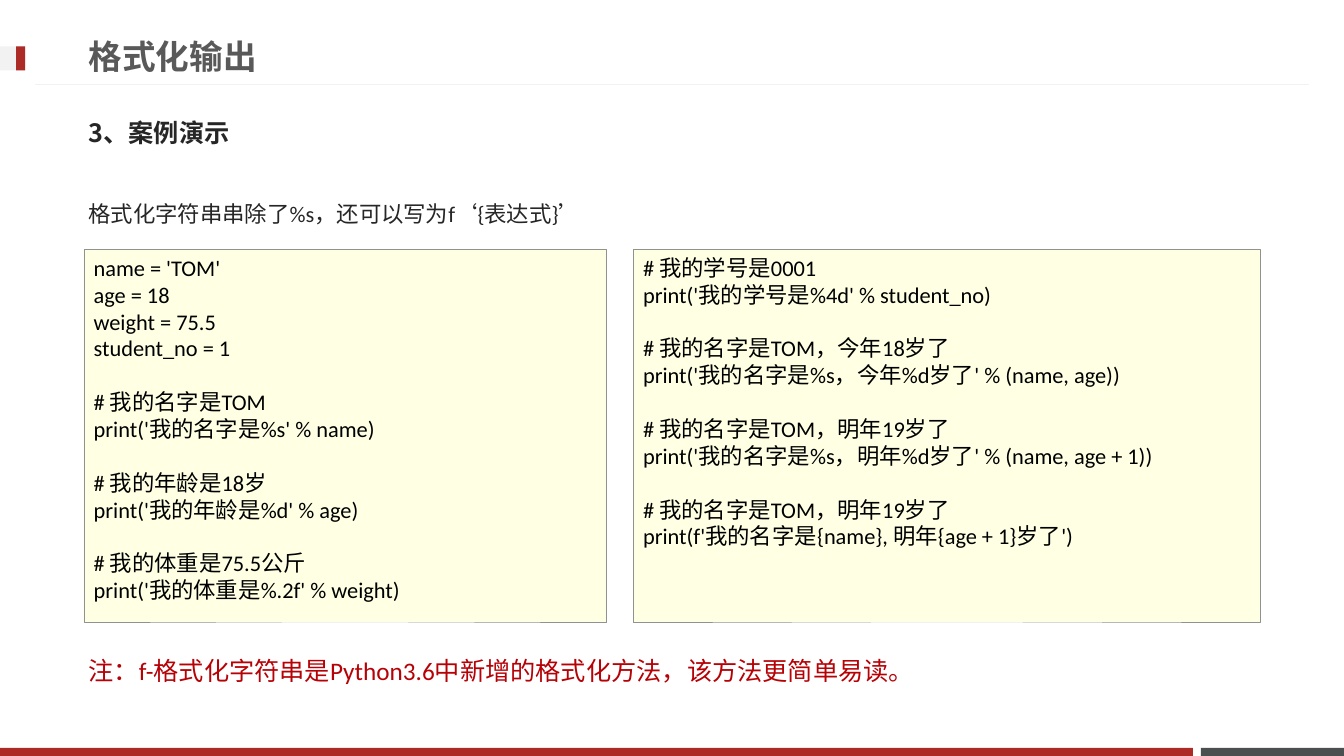
from lxml.etree import SubElement
from pptx import Presentation
from pptx.dml.color import RGBColor
from pptx.enum.shapes import MSO_CONNECTOR as Link, MSO_SHAPE as Shape
from pptx.enum.text import MSO_ANCHOR as Anchor, PP_ALIGN as Align
from pptx.oxml.ns import qn
from pptx.util import Inches, Pt

WIDTH, HEIGHT = Inches(13.33), Inches(7.5)
RED = RGBColor(0xAD, 0x2B, 0x26)
SLATE = RGBColor(0x49, 0x50, 0x4F)
PALE = RGBColor(0xF2, 0xF2, 0xF2)
CREAM = RGBColor(0xFF, 0xFF, 0xE4)
EDGE = RGBColor(0x91, 0x91, 0x91)
GRAY = RGBColor(0x59, 0x59, 0x59)
INK = RGBColor(0x26, 0x26, 0x26)
BLACK = RGBColor(0, 0, 0)
NOTE = RGBColor(0xB6, 0x02, 0x06)
LATIN, ASIAN = "Calibri", "Noto Sans CJK JP"
MARGIN = 5.85
LINE = 7.6

# Blocks of code, set apart by one line of space
LEFT = [
    ["name = 'TOM'", "age = 18", "weight = 75.5", "student_no = 1"],
    ["# 我的名字是TOM", "print('我的名字是%s' % name)"],
    ["# 我的年龄是18岁", "print('我的年龄是%d' % age)"],
    ["# 我的体重是75.5公斤", "print('我的体重是%.2f' % weight)"],
]
RIGHT = [
    ["# 我的学号是0001", "print('我的学号是%4d' % student_no)"],
    ["# 我的名字是TOM，今年18岁了",
     "print('我的名字是%s，今年%d岁了' % (name, age))"],
    ["# 我的名字是TOM，明年19岁了",
     "print('我的名字是%s，明年%d岁了' % (name, age + 1))"],
    ["# 我的名字是TOM，明年19岁了",
     "print(f'我的名字是{name}, 明年{age + 1}岁了')"],
]


def area(left, top, width, height):
    """Turn percent of the slide's width and height into lengths."""
    return (int(WIDTH * left / 100), int(HEIGHT * top / 100),
            int(WIDTH * width / 100), int(HEIGHT * height / 100))


def style(para, size, color, bold=False, latin=LATIN):
    para.alignment = Align.LEFT
    for run in para.runs:
        font = run.font
        font.size, font.bold, font.name = Pt(size), bold, latin
        font.color.rgb = color
        SubElement(run._r.get_or_add_rPr(), qn("a:ea"), typeface=ASIAN)


def write(shape, text, size, color, bold=False, latin=LATIN):
    """Fill a shape with one line of text, centred in its height."""
    frame = shape.text_frame
    frame.text = text
    frame.word_wrap = True
    frame.vertical_anchor = Anchor.MIDDLE
    style(frame.paragraphs[0], size, color, bold, latin)


def add_line(slide, top, width, *look):
    box = slide.shapes.add_textbox(*area(MARGIN, top, width, LINE))
    write(box, *look)


def add_rect(slide, place, fill):
    rect = slide.shapes.add_shape(Shape.RECTANGLE, *area(*place))
    rect.shadow.inherit = False
    rect.fill.solid()
    rect.fill.fore_color.rgb = fill
    rect.line.fill.background()
    return rect


def add_rule(slide, start, end, top):
    x, y, far, _ = area(start, top, end, 0)
    rule = slide.shapes.add_connector(Link.STRAIGHT, x, y, far, y)
    rule.line.color.rgb = PALE
    rule.line.width = Pt(0.75)
    SubElement(rule._element.spPr, qn("a:effectLst"))


def add_code(slide, left, width, blocks):
    box = add_rect(slide, (left, 32.93, width, 49.33), CREAM)
    box.line.color.rgb = EDGE
    box.line.width = Pt(0.25)
    frame = box.text_frame
    frame.word_wrap = True
    frame.vertical_anchor = Anchor.TOP
    frame.text = "\n".join(row for block in blocks for row in block)
    paras = iter(frame.paragraphs)
    for i, block in enumerate(blocks):
        for j in range(len(block)):
            para = next(paras)
            if i and not j:
                para.space_before = Pt(19.2)
            style(para, 16, BLACK)


def add_title(slide, text):
    title = slide.shapes.title
    title.left, title.top, title.width, title.height = area(
        MARGIN, 3.6, 71.94, LINE)
    write(title, text, 24, GRAY, True)


def main():
    deck = Presentation()
    deck.slide_width, deck.slide_height = WIDTH, HEIGHT
    slide = deck.slides.add_slide(deck.slide_layouts[5])

    for place, fill in [
        ((89.35, 98.93, 10.65, 1.07), SLATE),
        ((0, 98.93, 88.75, 1.07), RED),
        ((0, 6.13, 1.88, 3.2), PALE),
        ((1.2, 6.13, 0.68, 3.2), RED),
    ]:
        add_rect(slide, place, fill)
    add_rule(slide, 2.63, 97.37, 11.2)

    add_title(slide, "格式化输出")
    add_line(slide, 13.73, 88.22, "3、案例演示", 18, INK, True, ASIAN)
    add_line(slide, 24.47, 88.9,
             "格式化字符串串除了%s，还可以写为f‘{表达式}’", 16, INK)
    add_code(slide, 6.23, 38.86, LEFT)
    add_code(slide, 47.11, 46.66, RIGHT)
    add_line(slide, 84.9, 88.9,
             "注：f-格式化字符串是Python3.6中新增的格式化⽅法，该方法更简单易读。",
             18, NOTE)
    deck.save("out.pptx")


if __name__ == "__main__":
    main()
